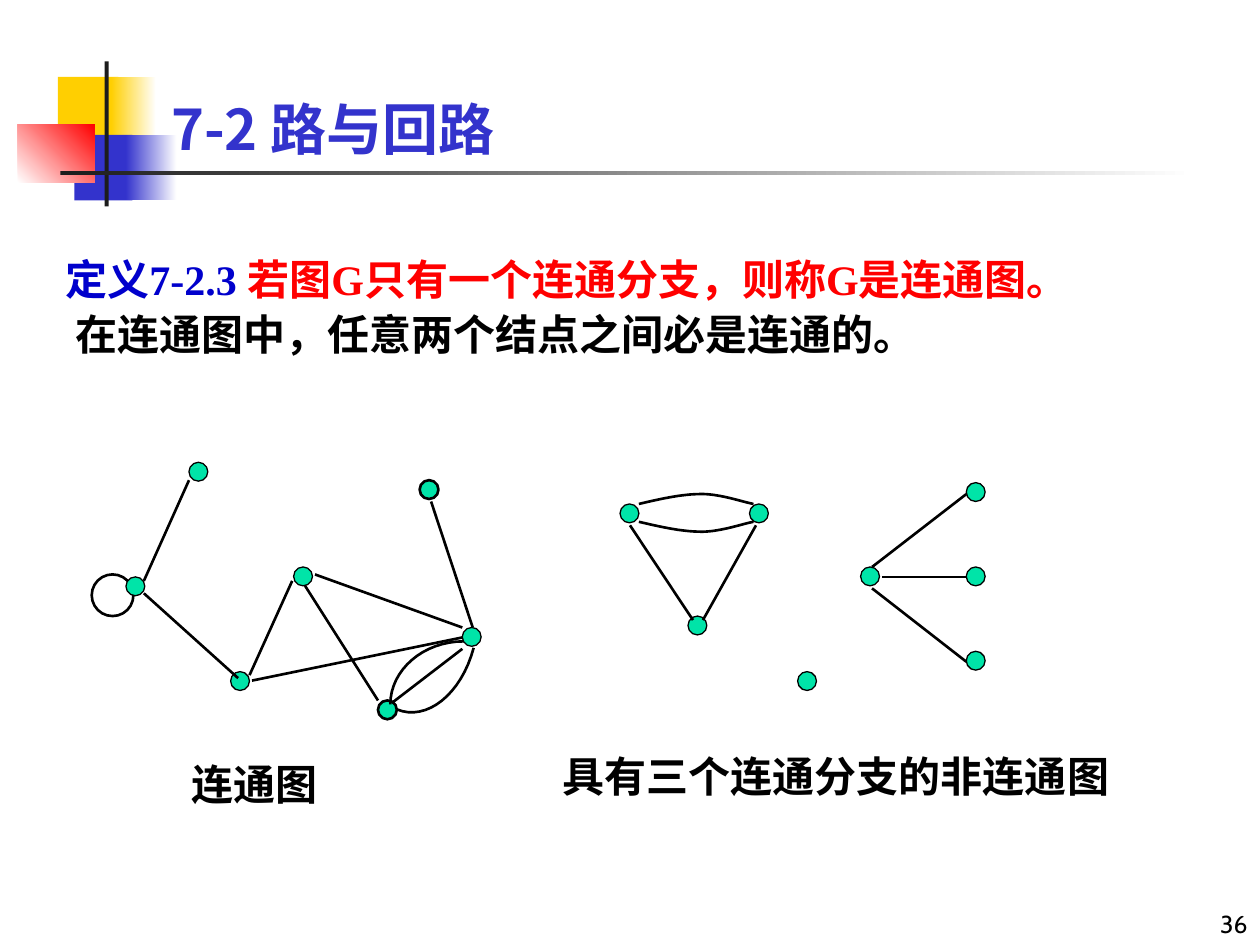
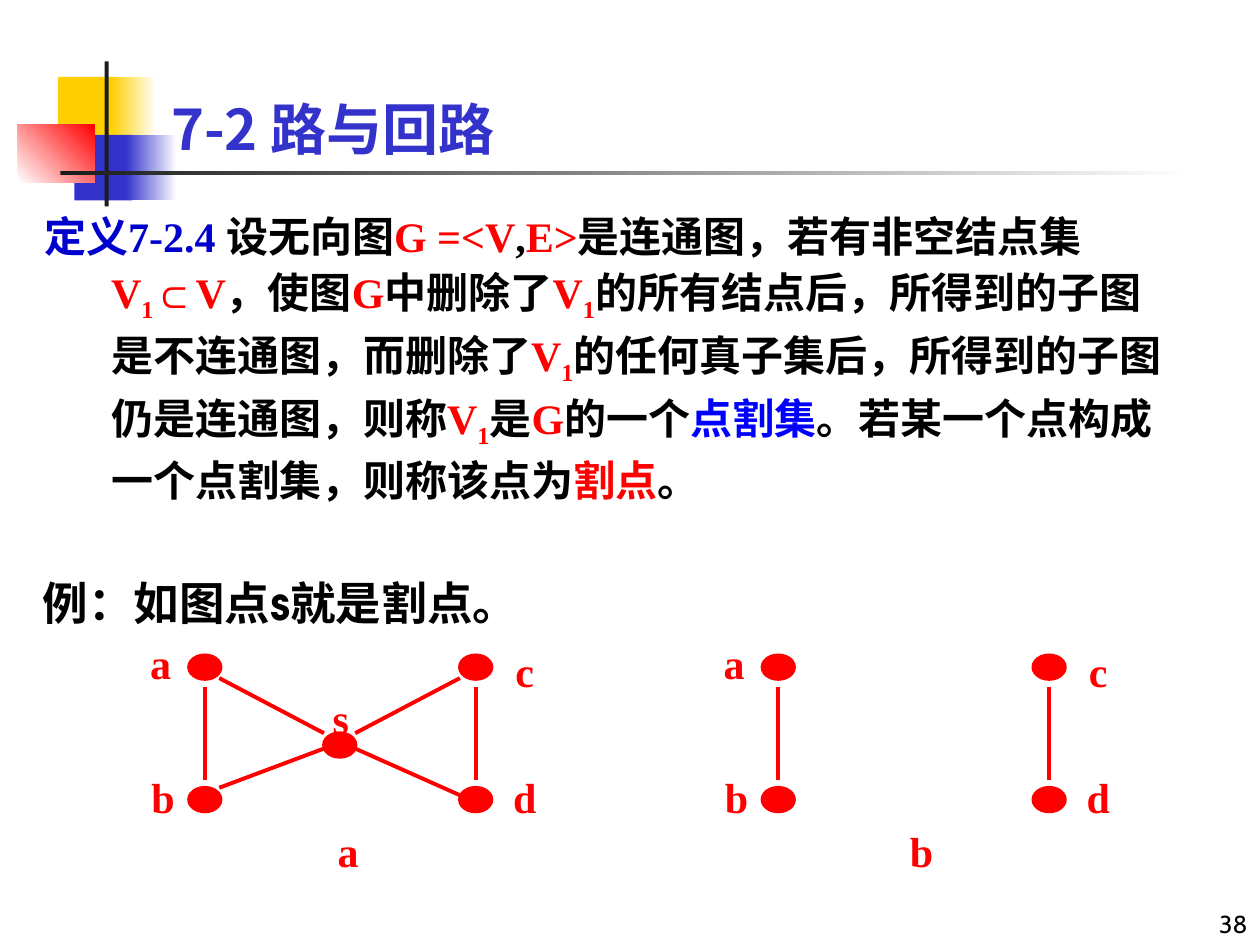
from lxml import etree
from pptx import Presentation
from pptx.dml.color import RGBColor
from pptx.enum.shapes import MSO_CONNECTOR as Link, MSO_SHAPE as Preset
from pptx.enum.text import MSO_ANCHOR as Anchor, PP_ALIGN as Align
from pptx.oxml.ns import qn
from pptx.util import Cm, Pt

BLACK = RGBColor(0x00, 0x00, 0x00)
WHITE = RGBColor(0xFF, 0xFF, 0xFF)
RED = RGBColor(0xFF, 0x00, 0x00)
YELLOW = RGBColor(0xFF, 0xCF, 0x01)
INDIGO = RGBColor(0x33, 0x33, 0xCC)
NAVY = RGBColor(0x00, 0x00, 0xCC)
BLUE = RGBColor(0x00, 0x00, 0xFF)
CHARCOAL = RGBColor(0x1C, 0x1C, 0x1C)
MINT = RGBColor(0x00, 0xE4, 0xA8)

CJK, SERIF, SANS = "Noto Sans CJK SC", "Times New Roman", "Cabin"
GEOMETRIC, SYMBOL = "TeX Gyre Adventor", "Arial"


class Deck:
    """Holds the shared style and the slide being filled."""

    def __init__(self):
        self.prs = Presentation()
        self.prs.slide_width, self.prs.slide_height = Cm(25.4), Cm(19.05)
        self.slide = None

    def new_slide(self, title, number):
        self.slide = self.prs.slides.add_slide(self.prs.slide_layouts[6])
        # Corner ornament and title rule
        self.band(1.17, 1.55, 1.22, 1.32, YELLOW)
        self.band(2.24, 1.55, 0.91, 1.32, YELLOW, WHITE)
        self.band(1.5, 2.72, 1.17, 1.32, INDIGO)
        self.band(2.54, 2.72, 1.02, 1.32, INDIGO, WHITE)
        self.band(0.36, 2.51, 1.55, 1.17, WHITE, RED, angle=45)
        self.band(2.11, 1.24, 0.08, 2.92, CHARCOAL)
        self.band(1.22, 3.45, 22.86, 0.08, CHARCOAL, WHITE)
        # Page number and title
        self.text(20.12, 17.78, 5.28, 1.27, number, SANS, 14, bold=False,
                  align=Align.RIGHT, anchor=Anchor.BOTTOM)
        self.text(3.2, 0.2, 21.64, 3.18, title, CJK, 32, INDIGO,
                  anchor=Anchor.BOTTOM)

    def preset(self, kind, x, y, w, h):
        shape = self.slide.shapes.add_shape(kind, Cm(x), Cm(y), Cm(w), Cm(h))
        shape.shadow.inherit = False
        return shape

    def band(self, x, y, w, h, color, fade=None, angle=0):
        band = self.preset(Preset.RECTANGLE, x, y, w, h)
        band.line.fill.background()
        if fade is None:
            band.fill.solid()
            band.fill.fore_color.rgb = color
            return
        band.fill.gradient()
        band.fill.gradient_angle = angle
        stops = band.fill.gradient_stops
        for stop, position, shade in zip(stops, (0, 1), (color, fade)):
            stop.position = position
            stop.color.rgb = shade

    def oval(self, x, y, w, h, fill, line, weight):
        oval = self.preset(Preset.OVAL, x, y, w, h)
        if fill is None:
            oval.fill.background()
        else:
            oval.fill.solid()
            oval.fill.fore_color.rgb = fill
        oval.line.color.rgb = line
        oval.line.width = Pt(weight)

    def edge(self, x1, y1, x2, y2, color=BLACK, weight=1.5):
        edge = self.slide.shapes.add_connector(
            Link.STRAIGHT, Cm(x1), Cm(y1), Cm(x2), Cm(y2))
        edge.line.color.rgb = color
        edge.line.width = Pt(weight)
        etree.SubElement(edge._element.spPr, qn("a:effectLst"))

    def curve(self, *segments, steps=16):
        """Draws a chain of cubic segments, each given as four points."""
        points = [segments[0][0]]
        for a, b, c, d in segments:
            for step in range(1, steps + 1):
                t = step / steps
                weights = ((1 - t) ** 3, 3 * t * (1 - t) ** 2,
                           3 * t ** 2 * (1 - t), t ** 3)
                points.append(tuple(
                    sum(w * p[axis] for w, p in zip(weights, (a, b, c, d)))
                    for axis in (0, 1)))
        points = [(Cm(x), Cm(y)) for x, y in points]
        outline = self.slide.shapes.build_freeform(*points[0])
        outline.add_line_segments(points[1:], close=False)
        curve = outline.convert_to_shape()
        curve.shadow.inherit = False
        curve.fill.background()
        curve.line.color.rgb = BLACK
        curve.line.width = Pt(1.5)

    def frame(self, x, y, w, h, anchor=Anchor.TOP, wrap=True):
        box = self.slide.shapes.add_textbox(Cm(x), Cm(y), Cm(w), Cm(h))
        box.text_frame.word_wrap = wrap
        box.text_frame.vertical_anchor = anchor
        return box.text_frame

    def style(self, paragraph, font, size, color=BLACK, bold=True):
        paragraph.font.size = Pt(size)
        paragraph.font.bold = bold
        paragraph.font.color.rgb = color
        paragraph.font.name = font
        defaults = paragraph._p.get_or_add_pPr().find(qn("a:defRPr"))
        etree.SubElement(defaults, qn("a:ea")).set("typeface", CJK)

    def text(self, x, y, w, h, words, font, size, color=BLACK, bold=True,
             align=Align.LEFT, anchor=Anchor.TOP, wrap=True):
        paragraph = self.frame(x, y, w, h, anchor, wrap).paragraphs[0]
        paragraph.text = words
        paragraph.alignment = align
        self.style(paragraph, font, size, color, bold)

    def definition(self, x, y, w, h, *paragraphs):
        """Each paragraph is (left margin, first-line indent, runs)."""
        frame = self.frame(x, y, w, h)
        for index, (margin, indent, runs) in enumerate(paragraphs):
            paragraph = frame.add_paragraph() if index else frame.paragraphs[0]
            paragraph.line_spacing = 1.1
            self.style(paragraph, SERIF, 24)
            props = paragraph._p.get_or_add_pPr()
            props.set("marL", str(Cm(margin)))
            props.set("indent", str(Cm(indent)))
            for words, color, *mark in runs:
                run = paragraph.add_run()
                run.text = words
                run.font.color.rgb = color
                if "sub" in mark:
                    run._r.get_or_add_rPr().set("baseline", "-25000")
                if "symbol" in mark:
                    run.font.name = SYMBOL

    def vertex(self, x, y, weight=0.75):
        self.oval(x, y, 0.38, 0.38, MINT, BLACK, weight)

    def dot(self, x, y):
        self.oval(x, y, 0.64, 0.48, RED, RED, 2)

    def label(self, x, y, letter):
        self.text(x, y, 1.4, 1.27, letter, SERIF, 24, RED, align=Align.CENTER)

    def caption(self, x, y, w, words):
        self.text(x, y, w, 1.27, words, SANS, 24)


def connected_graph(deck):
    for vertex in ((3.81, 9.32), (4.65, 13.54), (9.32, 12.65), (5.92, 11.43),
                   (8.46, 9.68, 1.5), (7.62, 14.12, 1.5)):
        deck.vertex(*vertex)
    for edge in ((3.81, 9.68, 2.9, 11.71), (2.9, 11.96, 4.8, 13.67),
                 (5.89, 11.71, 5.03, 13.61), (5.08, 13.72, 9.32, 12.85),
                 (6.35, 11.58, 9.32, 12.65), (8.69, 10.11, 9.53, 12.65),
                 (7.9, 14.17, 9.32, 13.08), (6.15, 11.81, 7.62, 14.12)):
        deck.edge(*edge)
    deck.curve(((9.35, 12.93), (8.53, 12.93), (7.87, 13.51), (7.87, 14.2)))
    deck.curve(((9.55, 13.06), (9.3, 14), (8.6, 14.55), (8, 14.3)))
    # Loop and its vertex
    deck.oval(1.85, 11.58, 0.84, 0.84, None, BLACK, 1.5)
    deck.vertex(2.54, 11.63)
    deck.caption(3.61, 15.16, 4.65, "连通图")


def disconnected_graph(deck):
    star_tips = [(19.48, 9.73 + 1.7 * row) for row in range(3)]
    for vertex in ((12.5, 10.16), (13.87, 12.42), (15.11, 10.16),
                   (16.08, 13.54), (17.35, 11.43), *star_tips):
        deck.vertex(*vertex)
    # Two parallel edges, mirrored about their axis
    arch = (((12.88, 10.16), (13.31, 10.06), (13.74, 9.96), (14.15, 9.96)),
            ((14.15, 9.96), (14.53, 9.96), (15.01, 10.13), (15.19, 10.16)))
    axis = 10.34
    deck.curve(*arch)
    deck.curve(*[[(x, 2 * axis - y) for x, y in part] for part in arch])
    for edge in ((15.24, 10.59, 14.17, 12.5), (12.7, 10.59, 13.97, 12.5),
                 (17.58, 11.43, 19.48, 9.96), (17.78, 11.63, 19.48, 11.63),
                 (17.58, 11.86, 19.48, 13.34)):
        deck.edge(*edge)
    deck.caption(11.1, 15.01, 11.76, "具有三个连通分支的非连通图")


def cut_vertex_graph(deck, shift, name, with_s):
    if with_s:
        deck.label(6.17, 13.84, "s")
        deck.dot(6.53, 14.78)
        for edge in ((4.42, 13.67, 6.53, 14.78), (7.16, 15.09, 9.27, 16.03),
                     (4.42, 15.88, 6.53, 15.09), (7.16, 14.78, 9.27, 13.67)):
            deck.edge(*edge, RED, 2.25)
    for column in (3.81, 9.27):
        for row in (13.21, 15.88):
            deck.dot(column + shift, row)
        middle = column + shift + 0.32
        deck.edge(middle, 13.84, middle, 15.72, RED, 2.25)
    for x, y, letter in ((2.54, 12.73, "a"), (2.59, 15.42, "b"),
                         (9.88, 12.88, "c"), (9.88, 15.42, "d"),
                         (6.32, 16.51, name)):
        deck.label(x + shift, y, letter)


def main():
    deck = Deck()
    title = "7-2 路与回路"

    # Connected graphs
    deck.new_slide(title, "36")
    deck.definition(
        1.07, 4.88, 23.06, 3.18,
        (0, 0, [("定义7-2.3 ", NAVY),
                ("若图G只有一个连通分支，则称G是连通图。", RED)]),
        (0.2, 0, [("在连通图中，任意两个结点之间必是连通的。", BLACK)]))
    connected_graph(deck)
    disconnected_graph(deck)

    # Cut sets and cut vertices
    deck.new_slide(title, "38")
    v1 = [("V", RED), ("1", RED, "sub")]
    deck.definition(0.64, 4.01, 23.29, 6.99, (1.35, -1.35, [
        ("定义7-2.4 ", NAVY), ("设无向图", BLACK), ("G =<V", RED),
        (",", BLACK), ("E>", RED), ("是连通图，若有非空结点集", BLACK),
        *v1, ("⊂", RED, "symbol"), ("V", RED), ("，使图", BLACK),
        ("G", RED), ("中删除了", BLACK), *v1,
        ("的所有结点后，所得到的子图是不连通图，而删除了", BLACK), *v1,
        ("的任何真子集后，所得到的子图仍是连通图，则称", BLACK), *v1,
        ("是", BLACK), ("G", RED), ("的一个", BLACK), ("点割集", BLUE),
        ("。若某一个点构成一个点割集，则称该点为", BLACK),
        ("割点", RED), ("。", BLACK)]))
    cut_vertex_graph(deck, 0, "a", with_s=True)
    cut_vertex_graph(deck, 11.56, "b", with_s=False)
    deck.text(0.61, 11.46, 10.59, 1.37, "例：如图点s就是割点。",
              GEOMETRIC, 26, wrap=False)

    deck.prs.save("out.pptx")


if __name__ == "__main__":
    main()
